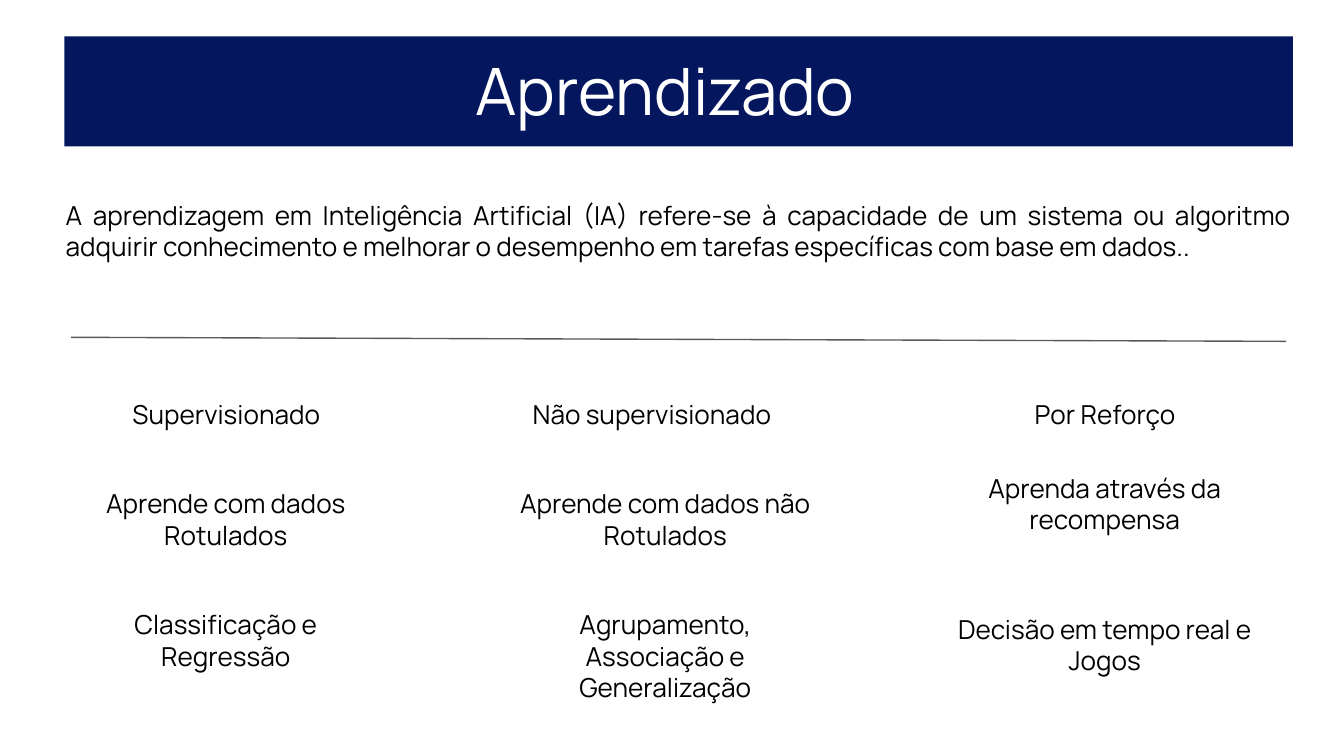
from dataclasses import dataclass

from lxml.etree import SubElement
from pptx import Presentation
from pptx.dml.color import RGBColor
from pptx.enum.shapes import MSO_CONNECTOR, MSO_SHAPE
from pptx.enum.text import MSO_ANCHOR, MSO_AUTO_SIZE, PP_ALIGN
from pptx.oxml.ns import qn
from pptx.util import Emu, Pt

PX = 4572  # 200 px to the inch


@dataclass(frozen=True)
class Theme:
    font: str = "Manrope"
    navy: RGBColor = RGBColor(0x04, 0x16, 0x5D)
    white: RGBColor = RGBColor(0xFF, 0xFF, 0xFF)
    black: RGBColor = RGBColor(0x00, 0x00, 0x00)
    gray: RGBColor = RGBColor(0x59, 0x59, 0x59)
    title_size: int = 35
    body_size: int = 14


THEME = Theme()

INTRODUCTION = (
    "A aprendizagem em Inteligência Artificial (IA) refere-se à capacidade de um "
    "sistema ou algoritmo adquirir conhecimento e melhorar o desempenho em tarefas "
    "específicas com base em dados.."
)

# Heading, its left, width and alignment
HEADINGS = [
    ("Supervisionado", 84, 506, PP_ALIGN.CENTER),
    ("Não supervisionado", 773, 454, PP_ALIGN.LEFT),
    ("Por Reforço", 1520, 402, PP_ALIGN.LEFT),
]
# For each learning type: text, top and height of its two descriptions
DESCRIPTIONS = [
    [("Aprende com dados Rotulados", 706, 134),
     ("Classificação e Regressão", 886, 134)],
    [("Aprende com dados não Rotulados", 706, 134),
     ("Agrupamento, Associação e Generalização", 886, 182)],
    [("Aprenda através da recompensa", 683, 134),
     ("Decisão em tempo real e Jogos", 893, 134)],
]
COLUMN_LEFT, COLUMN_STEP, COLUMN_WIDTH = 94, 654, 484


def px(*lengths):
    return [Emu(length * PX) for length in lengths]


def write_text(shape, text, *, size=THEME.body_size, color=THEME.black,
               align=PP_ALIGN.CENTER, auto_size=MSO_AUTO_SIZE.SHAPE_TO_FIT_TEXT):
    frame = shape.text_frame
    frame.word_wrap = True
    frame.auto_size = auto_size
    frame.vertical_anchor = MSO_ANCHOR.TOP
    frame.margin_left, frame.margin_top, frame.margin_right, frame.margin_bottom = px(
        20, 20, 20, 20)
    paragraph = frame.paragraphs[0]
    paragraph.alignment = align
    run = paragraph.add_run()
    run.text = text
    run.font.name = THEME.font
    run.font.size = Pt(size)
    run.font.color.rgb = color


def add_text(slide, box, text, **text_format):
    write_text(slide.shapes.add_textbox(*px(*box)), text, **text_format)


def add_title_band(slide, box):
    """Add the filled band and send it behind the title."""
    band = slide.shapes.add_shape(MSO_SHAPE.RECTANGLE, *px(*box))
    band.shadow.inherit = False
    band.fill.solid()
    band.fill.fore_color.rgb = THEME.navy
    band.line.fill.background()
    slide.shapes.title.element.addprevious(band.element)


def set_title(slide, box, text):
    title = slide.shapes.title
    title.left, title.top, title.width, title.height = px(*box)
    write_text(title, text, size=THEME.title_size, color=THEME.white,
               auto_size=MSO_AUTO_SIZE.NONE)


def add_divider(slide, ends):
    divider = slide.shapes.add_connector(MSO_CONNECTOR.STRAIGHT, *px(*ends))
    divider.line.color.rgb = THEME.gray
    divider.line.width = Pt(0.75)
    SubElement(divider.element.spPr, qn("a:effectLst"))


def main():
    presentation = Presentation()
    presentation.slide_width, presentation.slide_height = px(2000, 1125)
    slide = presentation.slides.add_slide(presentation.slide_layouts[5])

    add_title_band(slide, (96, 54, 1828, 164))
    set_title(slide, (58, 54, 1864, 164), "Aprendizado")
    add_text(slide, (78, 276, 1864, 182), INTRODUCTION, align=PP_ALIGN.JUSTIFY)
    add_divider(slide, (106, 502, 1914, 508))

    for heading, left, width, align in HEADINGS:
        add_text(slide, (left, 573, width, 88), heading, align=align)
    for column, descriptions in enumerate(DESCRIPTIONS):
        left = COLUMN_LEFT + column * COLUMN_STEP
        for text, top, height in descriptions:
            add_text(slide, (left, top, COLUMN_WIDTH, height), text)

    presentation.save("out.pptx")


if __name__ == "__main__":
    main()
